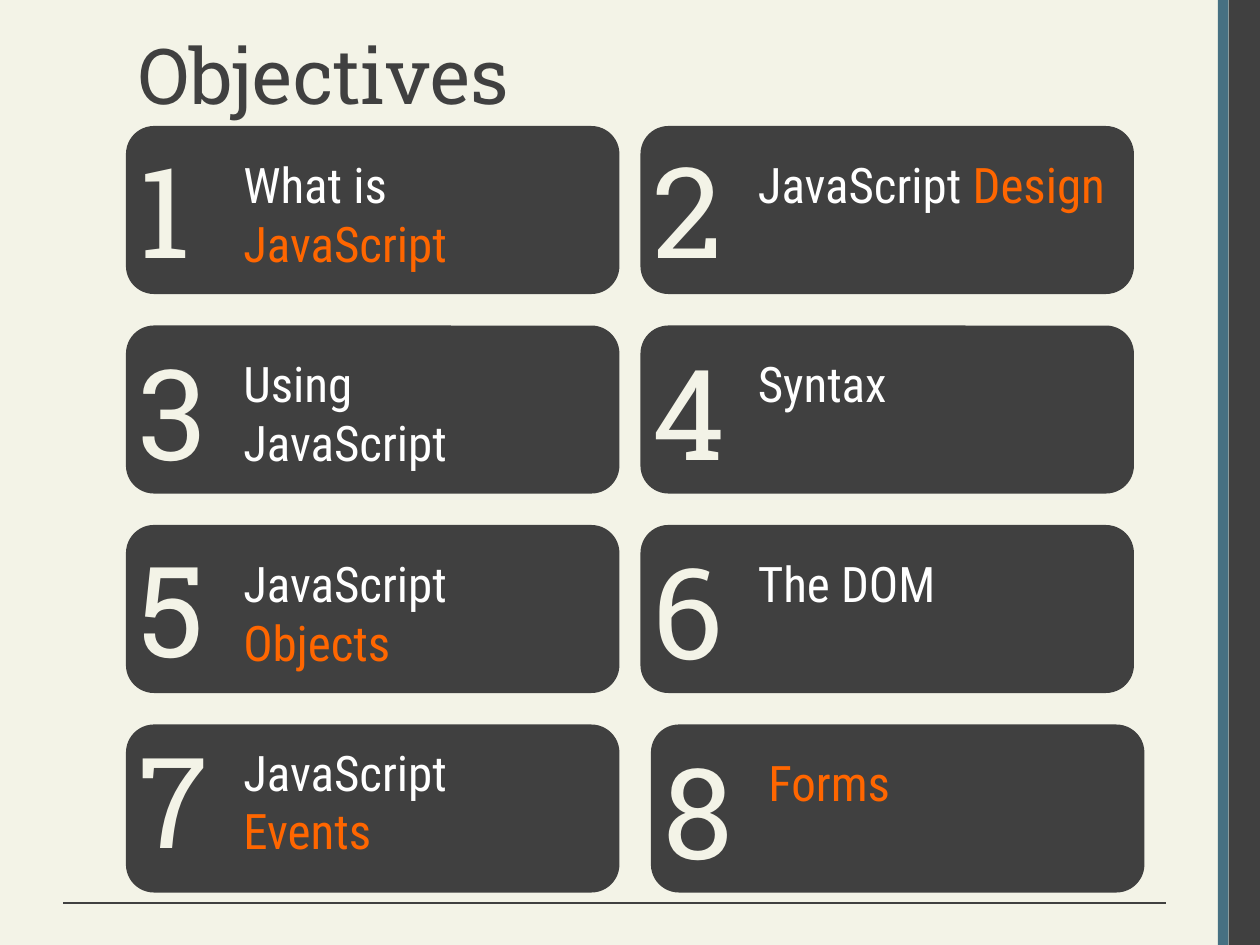
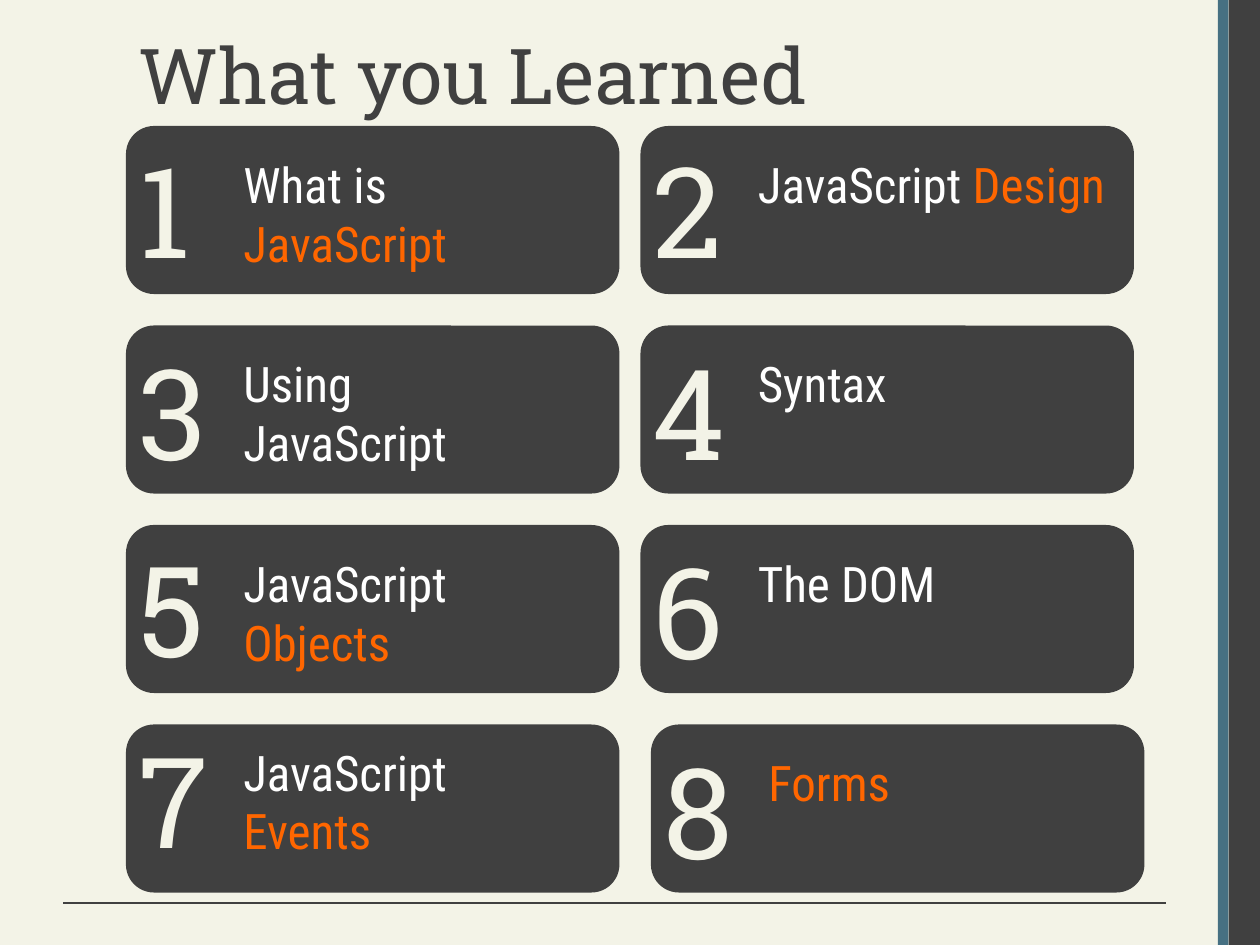
"""Build the objectives and recap slides of a JavaScript lesson."""
from lxml.etree import SubElement
from pptx import Presentation
from pptx.dml.color import RGBColor
from pptx.enum.shapes import MSO_CONNECTOR as Connector, MSO_SHAPE as Shape
from pptx.enum.text import MSO_ANCHOR as Anchor, MSO_AUTO_SIZE as AutoSize, PP_ALIGN as Align
from pptx.oxml.ns import qn
from pptx.util import Pt

COLOURS = {
    "paper": "F3F3E7",
    "dark": "404040",
    "blue": "467082",
    "white": "FFFFFF",
    "orange": "FF6600",
}
TITLE_FONT = {"name": "Roboto Slab", "size": Pt(44)}
NUMBER_FONT = {"name": "Roboto Slab", "size": Pt(72)}
TOPIC_FONT = {"name": "Roboto Condensed", "size": Pt(28)}
FRAME_FORMAT = {"word_wrap": True, "auto_size": AutoSize.NONE, "vertical_anchor": Anchor.TOP}

TITLES = ["Objectives", "What you Learned"]
TOPICS = [
    [[("What is ", "white"), ("JavaScript", "orange")]],
    [[("JavaScript", "white"), (" Design", "orange")]],
    [[("Using", "white")], [("JavaScript", "white")]],
    [[("Syntax", "white")]],
    [[("JavaScript", "white")], [("Objects", "orange")]],
    [[("The DOM", "white")]],
    [[("JavaScript", "white")], [("Events", "orange")]],
    [[("Forms", "orange")]],
]
CARD_LEFT, CARD_TOP, CARD_WIDTH, CARD_HEIGHT = 72, 72, 282, 96
COLUMN_STEP, ROW_STEP = 294, 114
TOPIC_INDENT, TOPIC_DROP = 60, 12.75
NUMBER_DROPS = [0, 0, 1.5, 1.5, 0, 1.5, -4.5, 1.5]
CARD_SHIFTS = {8: 6}
TOPIC_DROPS = {7: 6.5}
TOPIC_WIDTHS = {2: 228}


def colour(name):
    return RGBColor.from_string(COLOURS[name])


def apply(target, values):
    for name, value in values.items():
        setattr(target, name, value)


def write(frame, paragraphs, font):
    apply(frame, FRAME_FORMAT)
    for index, spans in enumerate(paragraphs):
        para = frame.add_paragraph() if index else frame.paragraphs[0]
        para.alignment = Align.LEFT
        for text, ink in spans:
            span = para.add_run()
            span.text = text
            apply(span.font, font)
            span.font.color.rgb = colour(ink)


def add_block(page, kind, bounds, fill):
    block = page.shapes.add_shape(kind, *map(Pt, bounds))
    block.shadow.inherit = False
    block.fill.solid()
    block.fill.fore_color.rgb = colour(fill)
    block.line.fill.background()


def add_text(page, bounds, paragraphs, font):
    box = page.shapes.add_textbox(*map(Pt, bounds))
    write(box.text_frame, paragraphs, font)


def add_rule(page, left, right, top):
    rule = page.shapes.add_connector(Connector.STRAIGHT, Pt(left), Pt(top), Pt(right), Pt(top))
    rule.line.color.rgb = colour("dark")
    rule.line.width = Pt(0.75)
    SubElement(rule.element.spPr, qn("a:effectLst"))


def add_page(deck, title):
    page = deck.slides.add_slide(deck.slide_layouts[5])
    page.background.fill.solid()
    page.background.fill.fore_color.rgb = colour("paper")
    add_block(page, Shape.RECTANGLE, (702, 0, 18, 540), "dark")
    add_block(page, Shape.RECTANGLE, (696, 0, 6, 540), "blue")
    add_rule(page, 36, 666, 516)
    heading = page.shapes.title
    apply(heading, {"left": Pt(72), "top": Pt(12), "width": Pt(624), "height": Pt(84)})
    write(heading.text_frame, [[(title, "dark")]], TITLE_FONT)
    return page


def add_card(page, number, topic):
    row, column = divmod(number - 1, 2)
    left = CARD_LEFT + column * COLUMN_STEP + CARD_SHIFTS.get(number, 0)
    top = CARD_TOP + row * ROW_STEP
    add_block(page, Shape.ROUNDED_RECTANGLE, (left, top, CARD_WIDTH, CARD_HEIGHT), "dark")
    topic_top = top + TOPIC_DROPS.get(number, TOPIC_DROP)
    topic_width = TOPIC_WIDTHS.get(number, 210)
    add_text(page, (left + TOPIC_INDENT, topic_top, topic_width, 75), topic, TOPIC_FONT)
    number_top = top + NUMBER_DROPS[number - 1]
    add_text(page, (left, number_top, 54, 94.5), [[(str(number), "paper")]], NUMBER_FONT)


def main():
    deck = Presentation()
    apply(deck, {"slide_width": Pt(720), "slide_height": Pt(540)})
    for title in TITLES:
        page = add_page(deck, title)
        for number, topic in enumerate(TOPICS, 1):
            add_card(page, number, topic)
    deck.save("out.pptx")


if __name__ == "__main__":
    main()
